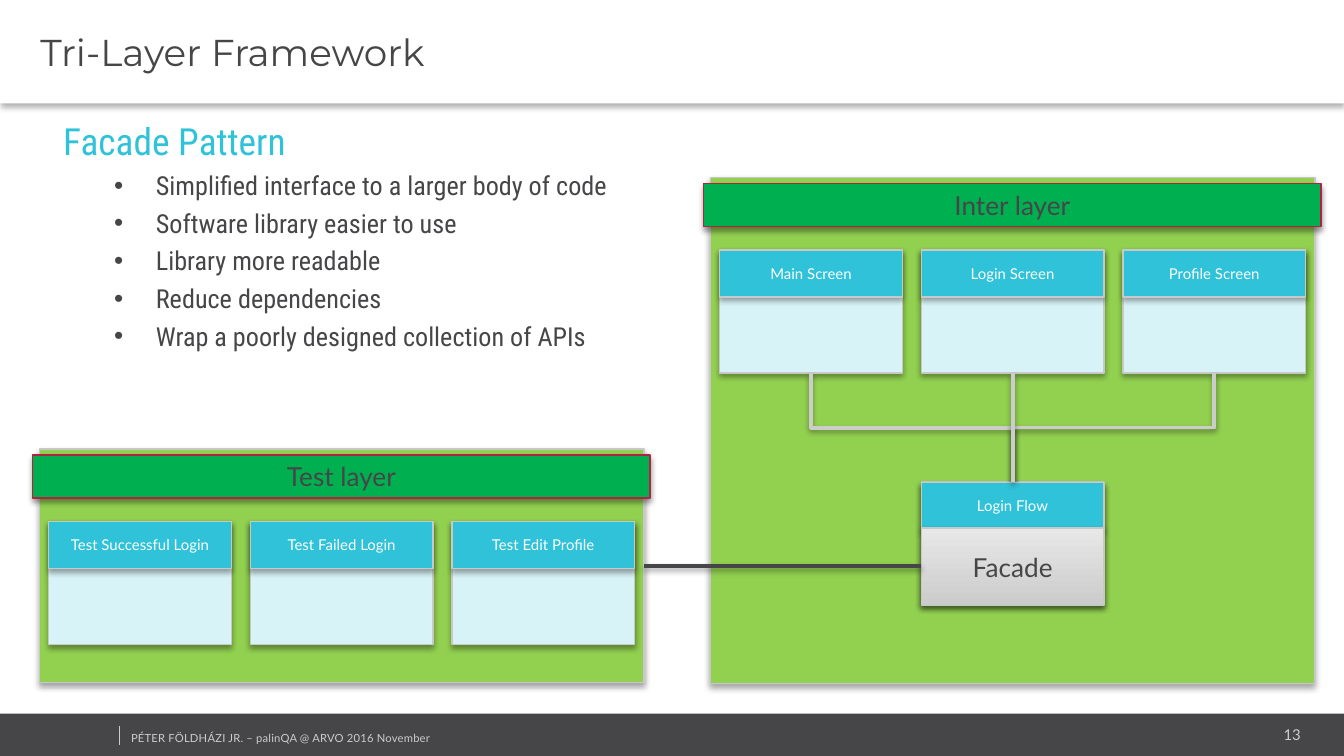
from lxml.etree import SubElement
from pptx import Presentation
from pptx.dml.color import RGBColor
from pptx.enum.shapes import MSO_CONNECTOR, MSO_SHAPE
from pptx.enum.text import MSO_ANCHOR, MSO_AUTO_SIZE, PP_ALIGN
from pptx.oxml.ns import qn
from pptx.util import Inches, Pt

WHITE = RGBColor(0xFF, 0xFF, 0xFF)
BLACK = RGBColor(0x00, 0x00, 0x00)
DARK = RGBColor(0x46, 0x45, 0x47)
GRAY = RGBColor(0xCC, 0xCC, 0xCC)
LIGHT = RGBColor(0xE7, 0xE7, 0xE7)
BORDER = RGBColor(0xC8, 0xC8, 0xC8)
LIME = RGBColor(0x92, 0xD0, 0x50)
GREEN = RGBColor(0x00, 0xB0, 0x50)
RED = RGBColor(0xB1, 0x23, 0x43)
CYAN = RGBColor(0x2F, 0xC2, 0xD9)
PALE = RGBColor(0xD7, 0xF3, 0xF7)

COLS, ROWS = 100, 56.25  # square grid cells over the whole slide
CELL = Inches(0.1)
CARD_W, CARD_H, HEAD_H, CARD_STEP = 13.6, 9.15, 3.5, 15
PANEL_W = 45


def cells(*values):
    return [round(v * CELL) for v in values]


class Deck:
    """Holds the style and the current slide; lengths are grid cells."""

    def __init__(self, prs):
        self.s = prs.slides.add_slide(prs.slide_layouts[1])
        self.font = "Lato"

    def style(self, p, size, color, font=None):
        for r in p.runs:
            r.font.size = Pt(size)
            r.font.name = font or self.font
            r.font.color.rgb = color

    def place(self, sp, x, y, w, h):
        sp.left, sp.top, sp.width, sp.height = cells(x, y, w, h)

    def shadow(self, sp, alpha=35, dist=1.8):
        props = sp._element.spPr
        effects = props.find(qn("a:effectLst"))
        if effects is None:
            effects = SubElement(props, qn("a:effectLst"))
        outer = SubElement(effects, qn("a:outerShdw"), blurRad=str(Pt(3.1)),
                           dist=str(Pt(dist)), dir="5400000", rotWithShape="0")
        color = SubElement(outer, qn("a:srgbClr"), val=str(BLACK))
        SubElement(color, qn("a:alpha"), val=str(alpha * 1000))

    def title(self, text):
        sp = self.s.shapes.title
        self.place(sp, 0, 0, COLS, 7.7)
        sp.fill.solid()
        sp.fill.fore_color.rgb = WHITE
        sp.shadow.inherit = False
        self.shadow(sp, 30, 2)
        tf = sp.text_frame
        tf.text = text
        tf.auto_size = MSO_AUTO_SIZE.NONE
        tf.vertical_anchor = MSO_ANCHOR.MIDDLE
        tf.margin_left = Inches(0.3)
        p = tf.paragraphs[0]
        p.alignment = PP_ALIGN.LEFT
        self.style(p, 20, DARK, "Montserrat")

    def body(self, heading, bullets):
        sp = self.s.placeholders[1]
        self.place(sp, 0, 7.65, 49.4, 19.2)
        tf = sp.text_frame
        tf.auto_size = MSO_AUTO_SIZE.NONE
        tf.text = "\n".join([heading, *bullets])
        for i, p in enumerate(tf.paragraphs):
            pPr = p._p.get_or_add_pPr()
            if i:
                p.level = 1
                pPr.set("marL", str(Inches(1.06)))
                pPr.set("indent", str(Inches(-0.31)))
                SubElement(pPr, qn("a:buFont"), typeface="Arial")
                SubElement(pPr, qn("a:buChar"), char="•")
            else:
                pPr.set("marL", str(Inches(0.37)))
                pPr.set("indent", "0")
                SubElement(pPr, qn("a:buNone"))
            p.line_spacing = 1.2
            p.space_before = Pt(0)
            self.style(p, 14 if i else 20, DARK if i else CYAN,
                       "Roboto Condensed")

    def box(self, x, y, w, h, fill, text="", size=14, color=DARK,
            border=BORDER, alpha=35):
        """Shadowed rectangle; a pair of colours as fill makes a gradient."""
        sp = self.s.shapes.add_shape(MSO_SHAPE.RECTANGLE, *cells(x, y, w, h))
        if isinstance(fill, list):
            sp.fill.gradient()
            sp.fill.gradient_angle = 90
            for stop, rgb in zip(sp.fill.gradient_stops, fill):
                stop.color.rgb = rgb
        else:
            sp.fill.solid()
            sp.fill.fore_color.rgb = fill
        sp.line.color.rgb = border
        sp.line.width = Pt(0.75)
        sp.shadow.inherit = False
        self.shadow(sp, alpha)
        if text:
            tf = sp.text_frame
            tf.text = text
            tf.vertical_anchor = MSO_ANCHOR.MIDDLE
            tf.paragraphs[0].alignment = PP_ALIGN.CENTER
            self.style(tf.paragraphs[0], size, color)

    def header(self, x, y, name):
        self.box(x, y, CARD_W, HEAD_H, CYAN, name, 8, WHITE)

    def card(self, x, y, name):
        self.box(x, y, CARD_W, CARD_H, PALE)
        self.header(x, y, name)

    def panel(self, x, y, h, name, cards):
        self.box(x, y, PANEL_W, h, LIME)
        self.box(x - 0.5, y + 0.45, PANEL_W + 0.95, 3.2, GREEN, name,
                 border=RED, alpha=38)
        for i, card in enumerate(cards):
            self.card(x + 0.7 + i * CARD_STEP, y + 5.4, card)

    def line(self, x1, y1, x2, y2, color, width=2, shape=MSO_CONNECTOR.STRAIGHT,
             shadow=True):
        c = self.s.shapes.add_connector(shape, *cells(x1, y1, x2, y2))
        c.line.color.rgb = color
        c.line.width = Pt(width)
        SubElement(c._element.spPr, qn("a:effectLst"))
        if shadow:
            self.shadow(c, 38, 1.6)
        return c

    def elbow(self, x1, y1, x2, y2, color):
        """Elbow that leaves vertically: a plain one turned by 90 degrees."""
        cx, cy = (x1 + x2) / 2, (y1 + y2) / 2
        c = self.line(cx + y1 - cy, cy - x1 + cx, cx + y2 - cy, cy - x2 + cx,
                      color, shape=MSO_CONNECTOR.ELBOW)
        c._element.spPr.find(qn("a:xfrm")).set("rot", "5400000")

    def label(self, x, y, w, h, text, size, align=PP_ALIGN.LEFT, spacing=0):
        tf = self.s.shapes.add_textbox(*cells(x, y, w, h)).text_frame
        tf.word_wrap = True
        tf.margin_left = tf.margin_right = Inches(0.07)
        tf.margin_top = tf.margin_bottom = Inches(0.04)
        tf.text = text
        p = tf.paragraphs[0]
        p.alignment = align
        self.style(p, size, GRAY)
        if spacing:
            p.runs[0]._r.get_or_add_rPr().set("spc", str(round(spacing * 100)))

    def footer(self, text, number):
        bar = self.s.shapes.add_shape(MSO_SHAPE.RECTANGLE,
                                      *cells(0, 53.1, COLS, ROWS - 53.1))
        bar.fill.solid()
        bar.fill.fore_color.rgb = DARK
        bar.line.fill.background()
        bar.shadow.inherit = False
        self.label(81.2, 53.6, 16.3, 2.1, number, 8, PP_ALIGN.RIGHT)
        self.label(9.05, 54, 25.3, 1.8, text, 6, spacing=0.1)
        self.line(8.9, 54, 8.9, 55.4, GRAY, 0.25, shadow=False)


def main():
    prs = Presentation()
    prs.slide_width, prs.slide_height = cells(COLS, ROWS)
    deck = Deck(prs)
    deck.footer("PÉTER FÖLDHÁZI JR. – palinQA @ ARVO 2016 November", "13")
    deck.title("Tri-Layer Framework")
    deck.body("Facade Pattern", [
        "Simplified interface to a larger body of code",
        "Software library easier to use",
        "Library more readable",
        "Reduce dependencies",
        "Wrap a poorly designed collection of APIs",
    ])
    deck.panel(2.93, 33.4, 17.4, "Test layer",
               ["Test Successful Login", "Test Failed Login", "Test Edit Profile"])
    deck.panel(52.85, 13.2, 37.65, "Inter layer",
               ["Main Screen", "Login Screen", "Profile Screen"])

    flow_x, flow_y, screens_bottom = 68.55, 35.88, 27.75
    middle = flow_x + CARD_W / 2
    deck.box(flow_x, flow_y, CARD_W, CARD_H, PALE)
    for side in (-CARD_STEP, CARD_STEP):
        deck.elbow(middle + side, screens_bottom, middle, flow_y, GRAY)
    deck.header(flow_x, flow_y, "Login Flow")
    deck.box(flow_x, flow_y + 3.4, CARD_W, CARD_H - 3.4, [GRAY, LIGHT], "Facade")
    deck.line(middle, screens_bottom, middle, flow_y, GRAY)
    deck.line(flow_x, 42.1, 2.93 + PANEL_W, 42.1, DARK)
    prs.save("out.pptx")


if __name__ == "__main__":
    main()
